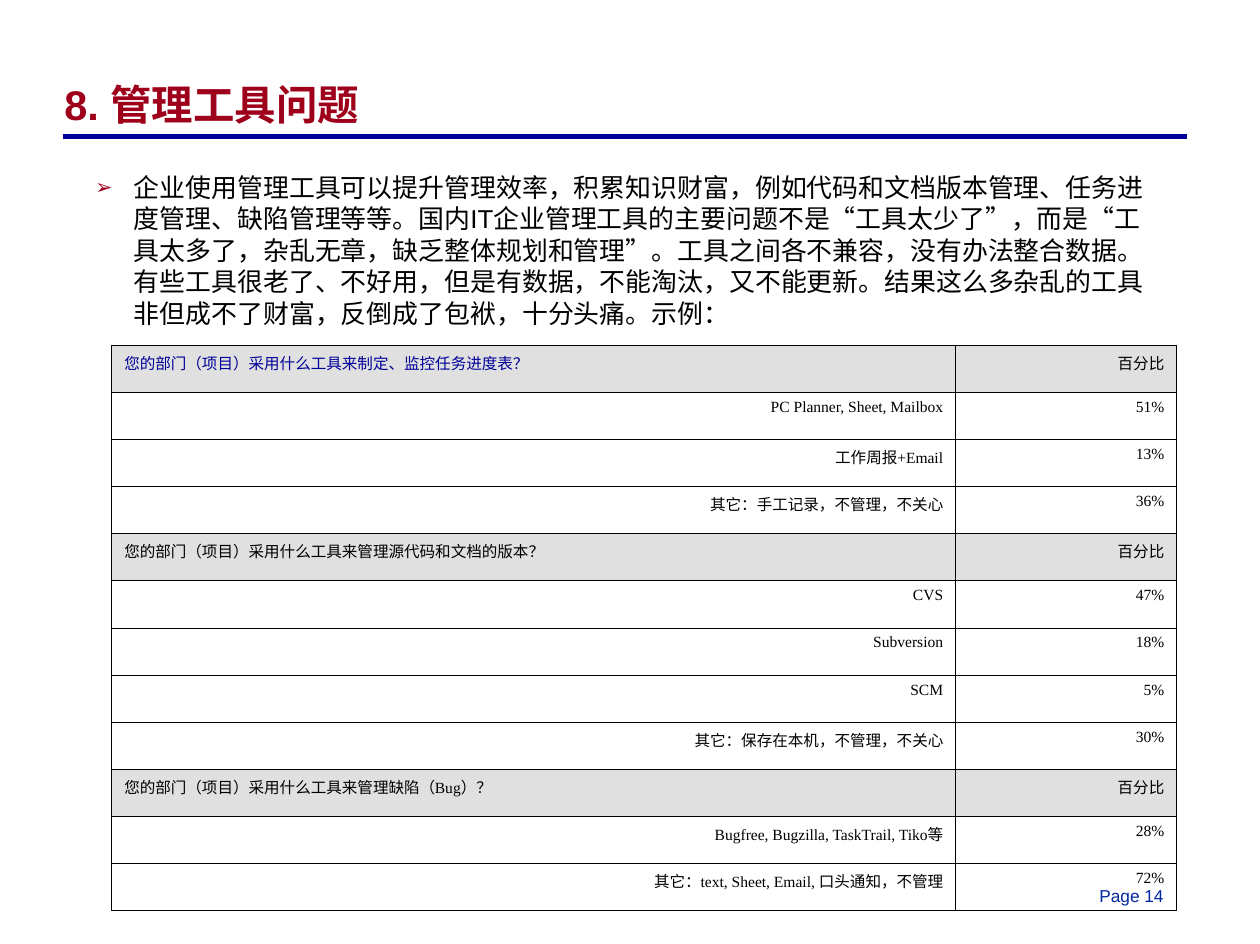
from lxml.etree import SubElement
from pptx import Presentation
from pptx.dml.color import RGBColor
from pptx.enum.shapes import MSO_CONNECTOR
from pptx.enum.text import MSO_ANCHOR, PP_ALIGN
from pptx.oxml.ns import qn
from pptx.util import Inches, Pt

NAVY = RGBColor(0x00, 0x00, 0x99)
BLUE = RGBColor(0x00, 0x27, 0x9F)
RED = RGBColor(0x9E, 0x00, 0x1B)
GREY = RGBColor(0xE0, 0xE0, 0xE0)
BLACK = RGBColor(0x00, 0x00, 0x00)

BODY = (
    "企业使用管理工具可以提升管理效率，积累知识财富，例如代码和文档版本管理、任务进度管理、缺陷管理等等。"
    "国内IT企业管理工具的主要问题不是“工具太少了”，而是“工具太多了，杂乱无章，缺乏整体规划和管理”。"
    "工具之间各不兼容，没有办法整合数据。有些工具很老了、不好用，但是有数据，不能淘汰，又不能更新。"
    "结果这么多杂乱的工具非但成不了财富，反倒成了包袱，十分头痛。示例："
)
HEADER = "百分比"
ROWS = [
    ("您的部门（项目）采用什么工具来制定、监控任务进度表？", HEADER),
    ("PC Planner, Sheet, Mailbox", "51%"),
    ("工作周报+Email", "13%"),
    ("其它：手工记录，不管理，不关心", "36%"),
    ("您的部门（项目）采用什么工具来管理源代码和文档的版本？", HEADER),
    ("CVS", "47%"),
    ("Subversion", "18%"),
    ("SCM", "5%"),
    ("其它：保存在本机，不管理，不关心", "30%"),
    ("您的部门（项目）采用什么工具来管理缺陷（Bug）？", HEADER),
    ("Bugfree, Bugzilla, TaskTrail, Tiko等", "28%"),
    ("其它：text, Sheet, Email, 口头通知，不管理", "72%"),
]


def format_runs(p, size, color, name="Arial", bold=False):
    for r in p.runs:
        r.font.size = Pt(size)
        r.font.name = name
        r.font.bold = bold
        r.font.color.rgb = color


def add_text(s, text, left, top, width, height):
    tf = s.shapes.add_textbox(Inches(left), Inches(top), Inches(width), Inches(height)).text_frame
    tf.word_wrap = True
    tf.text = text
    return tf


prs = Presentation()
prs.slide_width, prs.slide_height = Inches(10.14), Inches(7.6)
s = prs.slides.add_slide(prs.slide_layouts[6])

rule = s.shapes.add_connector(
    MSO_CONNECTOR.STRAIGHT, Inches(0.51), Inches(1.1), Inches(9.55), Inches(1.1))
rule.line.color.rgb = NAVY
rule.line.width = Pt(3)
SubElement(rule._element.spPr, qn("a:effectLst"))

format_runs(add_text(s, "Page 14", 8.75, 7.08, 0.75, 0.27).paragraphs[0], 10, BLUE)

tf = add_text(s, "8. 管理工具问题", 0.42, 0.33, 9.04, 0.76)
tf.vertical_anchor = MSO_ANCHOR.BOTTOM
tf.paragraphs[0].line_spacing = 0.87
format_runs(tf.paragraphs[0], 24, RED, bold=True)

p = add_text(s, BODY, 0.42, 1.33, 9.06, 1.36).paragraphs[0]
p.line_spacing = Pt(18.2)
pPr = p._p.get_or_add_pPr()
pPr.set("marL", str(Inches(0.56)))
pPr.set("indent", str(Inches(-0.31)))
SubElement(SubElement(pPr, qn("a:buClr")), qn("a:srgbClr"), val=str(RED))
SubElement(pPr, qn("a:buSzPct"), val="80000")
SubElement(pPr, qn("a:buFont"), typeface="Arial")
SubElement(pPr, qn("a:buChar"), char="➢")
format_runs(p, 15, BLACK)

table = s.shapes.add_table(
    len(ROWS), 2, Inches(0.9), Inches(2.78), Inches(8.57), Inches(4.55)).table
table.first_row = table.horz_banding = False
table.columns[0].width, table.columns[1].width = Inches(6.79), Inches(1.78)

for i, row in enumerate(ROWS):
    is_header = row[1] == HEADER
    for j, text in enumerate(row):
        cell = table.cell(i, j)
        cell.text = text
        p = cell.text_frame.paragraphs[0]
        p.alignment = PP_ALIGN.LEFT if is_header and j == 0 else PP_ALIGN.RIGHT
        format_runs(p, 9, NAVY if i == j == 0 else BLACK, "Times New Roman")
        tcPr = cell._tc.get_or_add_tcPr()
        for side in ("a:lnL", "a:lnR", "a:lnT", "a:lnB"):
            ln = SubElement(tcPr, qn(side), w=str(Pt(0.45)))
            SubElement(SubElement(ln, qn("a:solidFill")), qn("a:srgbClr"), val=str(BLACK))
        if is_header:
            cell.fill.solid()
            cell.fill.fore_color.rgb = GREY
        else:
            cell.fill.background()

prs.save("out.pptx")
